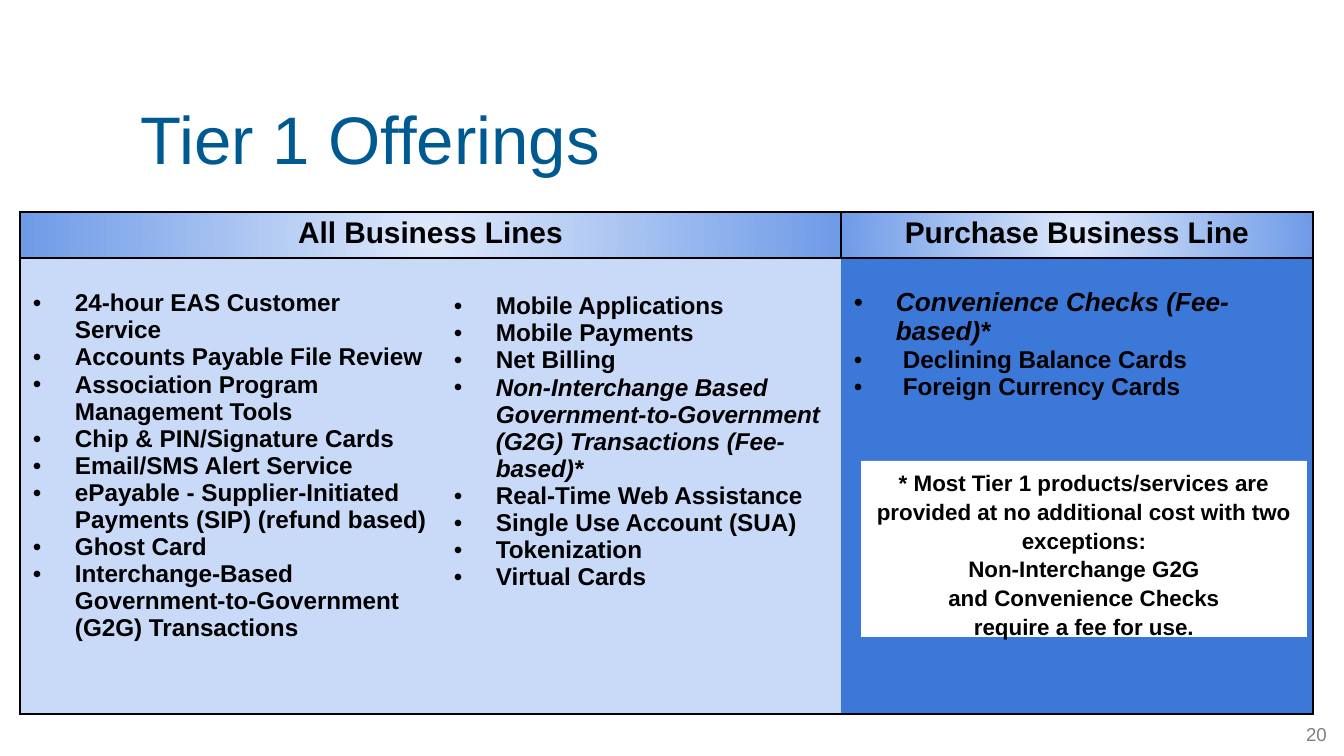
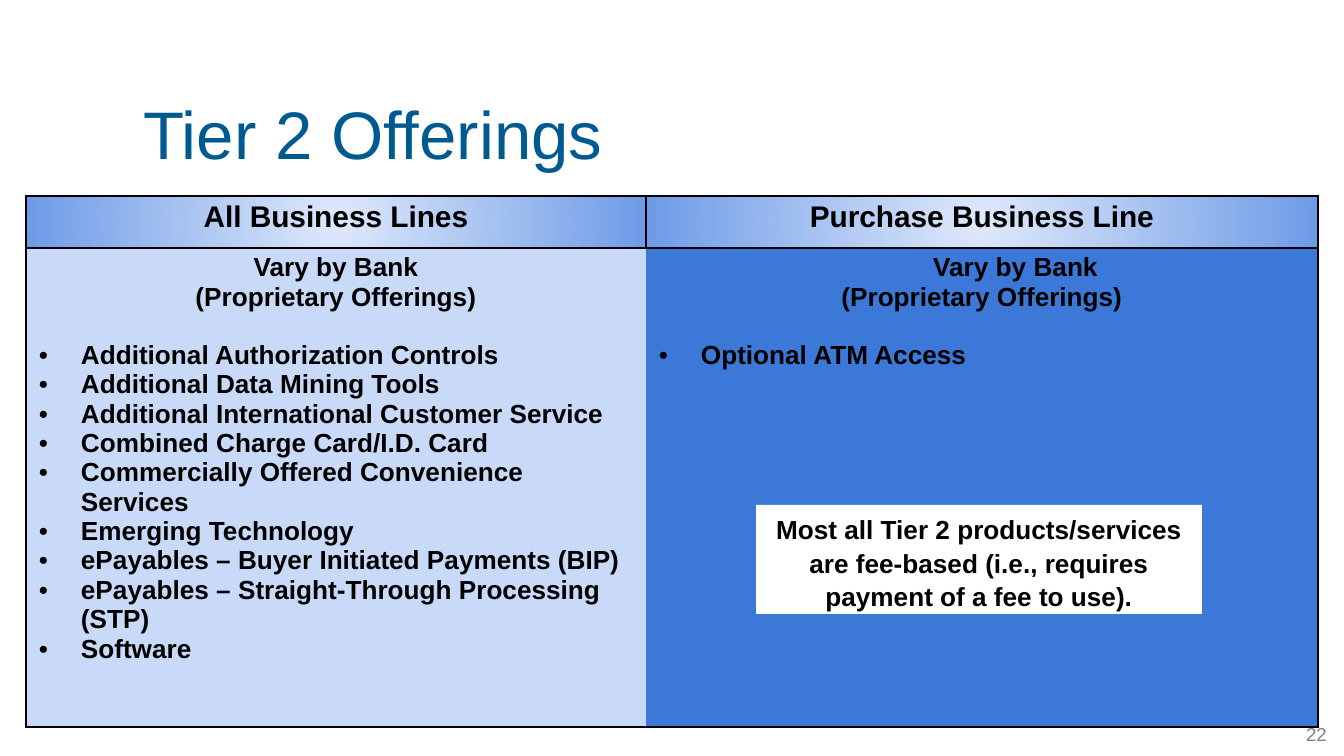
from dataclasses import dataclass

from lxml.etree import SubElement
from pptx import Presentation
from pptx.dml.color import RGBColor
from pptx.enum.shapes import MSO_SHAPE as Shape
from pptx.enum.text import MSO_ANCHOR as Anchor, MSO_AUTO_SIZE as AutoSize, PP_ALIGN as Align
from pptx.oxml.ns import qn
from pptx.util import Emu, Pt

PX = 914400 / 134.4
FONT = "Arial"
BLACK, WHITE, GREY, TITLE_BLUE = "000000", "FFFFFF", "808080", "005A92"
PALE_BLUE, STRONG_BLUE = "C9DAF8", "3C78D8"
HEADER_CENTRE, HEADER_EDGE = "DFE9FB", "6E9BE7"
TITLE_ONLY = 5
LINE_WIDTH = Pt(1)
PAD_X, PAD_Y = 13, 5
BULLET_INDENT = 42


def px(length):
    return Emu(round(length * PX))


def color(value):
    return RGBColor.from_string(value)


def add_color(parent, value):
    SubElement(parent, qn("a:srgbClr"), val=value)


@dataclass
class Item:
    text: str
    size: int = 13
    italic: bool = False
    bullet: bool = True
    indent: int = BULLET_INDENT
    before: int = 0


class Deck:
    """Hold the shared style and the slide being built."""

    def __init__(self):
        self.presentation = Presentation()
        self.presentation.slide_width = px(1344)
        self.presentation.slide_height = px(756)
        self.slide = None

    def add_slide(self, number):
        layout = self.presentation.slide_layouts[TITLE_ONLY]
        self.slide = self.presentation.slides.add_slide(layout)
        box = self.slide.shapes.add_textbox(*map(px, (1274, 716, 66, 36)))
        box.text_frame.word_wrap = True
        paragraph = box.text_frame.paragraphs[0]
        paragraph.text = str(number)
        self.style(paragraph, 10, GREY, Align.RIGHT, bold=False)

    def style(self, paragraph, size, tint=BLACK, align=Align.CENTER, bold=True, italic=False):
        paragraph.alignment = align
        for run in paragraph.runs:
            font = run.font
            font.name, font.size = FONT, Pt(size)
            font.bold, font.italic = bold, italic
            font.color.rgb = color(tint)

    def margins(self, target, left, top):
        target.margin_left = target.margin_right = px(left)
        target.margin_top = target.margin_bottom = px(top)

    def title(self, text, box, anchor, margin):
        shape = self.slide.shapes.title
        shape.left, shape.top, shape.width, shape.height = map(px, box)
        frame = shape.text_frame
        frame.text = text
        frame.auto_size = AutoSize.NONE
        frame.vertical_anchor = anchor
        self.margins(frame, margin, margin)
        self.style(frame.paragraphs[0], 36, TITLE_BLUE, bold=False)

    def note(self, text, box, size):
        shape = self.slide.shapes.add_shape(Shape.RECTANGLE, *map(px, box))
        shape.shadow.inherit = False
        shape.fill.solid()
        shape.fill.fore_color.rgb = color(WHITE)
        shape.line.fill.background()
        frame = shape.text_frame
        frame.word_wrap = True
        frame.auto_size = AutoSize.SHAPE_TO_FIT_TEXT
        frame.vertical_anchor = Anchor.TOP
        frame.text = text
        for paragraph in frame.paragraphs:
            paragraph.line_spacing = 1.07
            self.style(paragraph, size)

    def borders(self, cell, sides):
        properties = cell._tc.get_or_add_tcPr()
        for side in "LRTB":
            line = SubElement(properties, qn(f"a:ln{side}"), w=str(LINE_WIDTH))
            if side in sides:
                add_color(SubElement(line, qn("a:solidFill")), BLACK)
            else:
                SubElement(line, qn("a:noFill"))

    def header_cell(self, cell, text):
        self.margins(cell, PAD_X, PAD_Y)
        self.borders(cell, "LRTB")
        gradient = SubElement(cell._tc.get_or_add_tcPr(), qn("a:gradFill"))
        stops = SubElement(gradient, qn("a:gsLst"))
        for position, tint in ((0, HEADER_CENTRE), (100000, HEADER_EDGE)):
            add_color(SubElement(stops, qn("a:gs"), pos=str(position)), tint)
        shade = SubElement(gradient, qn("a:path"), path="circle")
        SubElement(shade, qn("a:fillToRect"), l="50000", t="50000", r="50000", b="50000")
        if text:
            cell.text_frame.text = text
            self.style(cell.text_frame.paragraphs[0], 16)

    def list_cell(self, cell, items, fill, sides, top):
        self.margins(cell, PAD_X, PAD_Y)
        cell.margin_top = px(top)
        self.borders(cell, sides)
        cell.fill.solid()
        cell.fill.fore_color.rgb = color(fill)
        frame = cell.text_frame
        frame.text = "\n".join(item.text for item in items)
        for paragraph, item in zip(frame.paragraphs, items):
            properties = paragraph._p.get_or_add_pPr()
            properties.set("marL", str(px(item.indent)))
            properties.set("indent", str(px(-item.indent if item.bullet else 0)))
            if item.bullet:
                add_color(SubElement(properties, qn("a:buClr")), BLACK)
                SubElement(properties, qn("a:buFont"), typeface=FONT)
                SubElement(properties, qn("a:buChar"), char="•")
            if item.before:
                paragraph.space_before = px(item.before)
            align = Align.LEFT if item.bullet else Align.CENTER
            self.style(paragraph, item.size, align=align, italic=item.italic)

    def table(self, left, top, widths, heights, headers, lists, tops):
        shape = self.slide.shapes.add_table(
            2, len(widths), *map(px, (left, top, sum(widths), sum(heights))))
        table = shape.table
        table.first_row = table.horz_banding = False
        for column, width in zip(table.columns, widths):
            column.width = px(width)
        for row, height in zip(table.rows, heights):
            row.height = px(height)
        last = len(widths) - 1
        for index, (header, items, inset) in enumerate(zip(headers, lists, tops)):
            self.header_cell(table.cell(0, index), header)
            sides = "TB" + ("L" if index == 0 else "") + ("R" if index == last else "")
            fill = STRONG_BLUE if index == last else PALE_BLUE
            self.list_cell(table.cell(1, index), items, fill, sides, inset)
        if last > 1:
            table.cell(0, 0).merge(table.cell(0, last - 1))


def tier_1(deck):
    deck.add_slide(20)
    deck.title("Tier 1 Offerings", (99, 65, 543, 126), Anchor.BOTTOM, 13)
    services = [Item(text) for text in (
        "24-hour EAS Customer Service",
        "Accounts Payable File Review",
        "Association Program Management Tools",
        "Chip & PIN/Signature Cards",
        "Email/SMS Alert Service",
        "ePayable - Supplier-Initiated Payments (SIP) (refund based)",
        "Ghost Card",
        "Interchange-Based Government-to-Government (G2G) Transactions",
    )]
    more_services = [
        Item("Mobile Applications"),
        Item("Mobile Payments"),
        Item("Net Billing"),
        Item("Non-Interchange Based Government-to-Government (G2G) Transactions (Fee-based)*",
             italic=True),
        Item("Real-Time Web Assistance"),
        Item("Single Use Account (SUA)"),
        Item("Tokenization"),
        Item("Virtual Cards"),
    ]
    purchase = [
        Item("Convenience Checks (Fee-based)*", 14, italic=True),
        Item("Declining Balance Cards", indent=49),
        Item("Foreign Currency Cards", indent=49),
    ]
    deck.table(20, 212, (421, 400, 472), (45, 456),
               ("All Business Lines", "", "Purchase Business Line"),
               (services, more_services, purchase), (32, 35, 30))
    deck.note("* Most Tier 1 products/services are provided at no additional cost "
              "with two exceptions:\nNon-Interchange G2G\nand Convenience Checks\n"
              "require a fee for use.", (861, 461, 446, 176), 12)


def tier_2(deck):
    deck.add_slide(22)
    deck.title("Tier 2 Offerings", (103, 86, 540, 94), Anchor.MIDDLE, 0)

    def bank_list(first_indent, texts):
        heading = [Item("Vary by Bank", 14, bullet=False, indent=first_indent),
                   Item("(Proprietary Offerings)", 14, bullet=False, indent=0)]
        offerings = [Item(text, 14) for text in texts]
        offerings[0].before = 29
        return heading + offerings

    all_lines = bank_list(0, (
        "Additional Authorization Controls",
        "Additional Data Mining Tools",
        "Additional International Customer Service",
        "Combined Charge Card/I.D. Card",
        "Commercially Offered Convenience Services",
        "Emerging Technology",
        "ePayables – Buyer Initiated Payments (BIP)",
        "ePayables – Straight-Through Processing (STP)",
        "Software",
    ))
    purchase = bank_list(67, ("Optional ATM Access",))
    deck.table(26, 196, (620, 672), (52, 479),
               ("All Business Lines", "Purchase Business Line"),
               (all_lines, purchase), (PAD_Y, PAD_Y))
    deck.note("Most all Tier 2 products/services are fee-based "
              "(i.e., requires payment of a fee to use).", (756, 505, 446, 109), 14)


def main():
    deck = Deck()
    tier_1(deck)
    tier_2(deck)
    deck.presentation.save("out.pptx")


if __name__ == "__main__":
    main()
